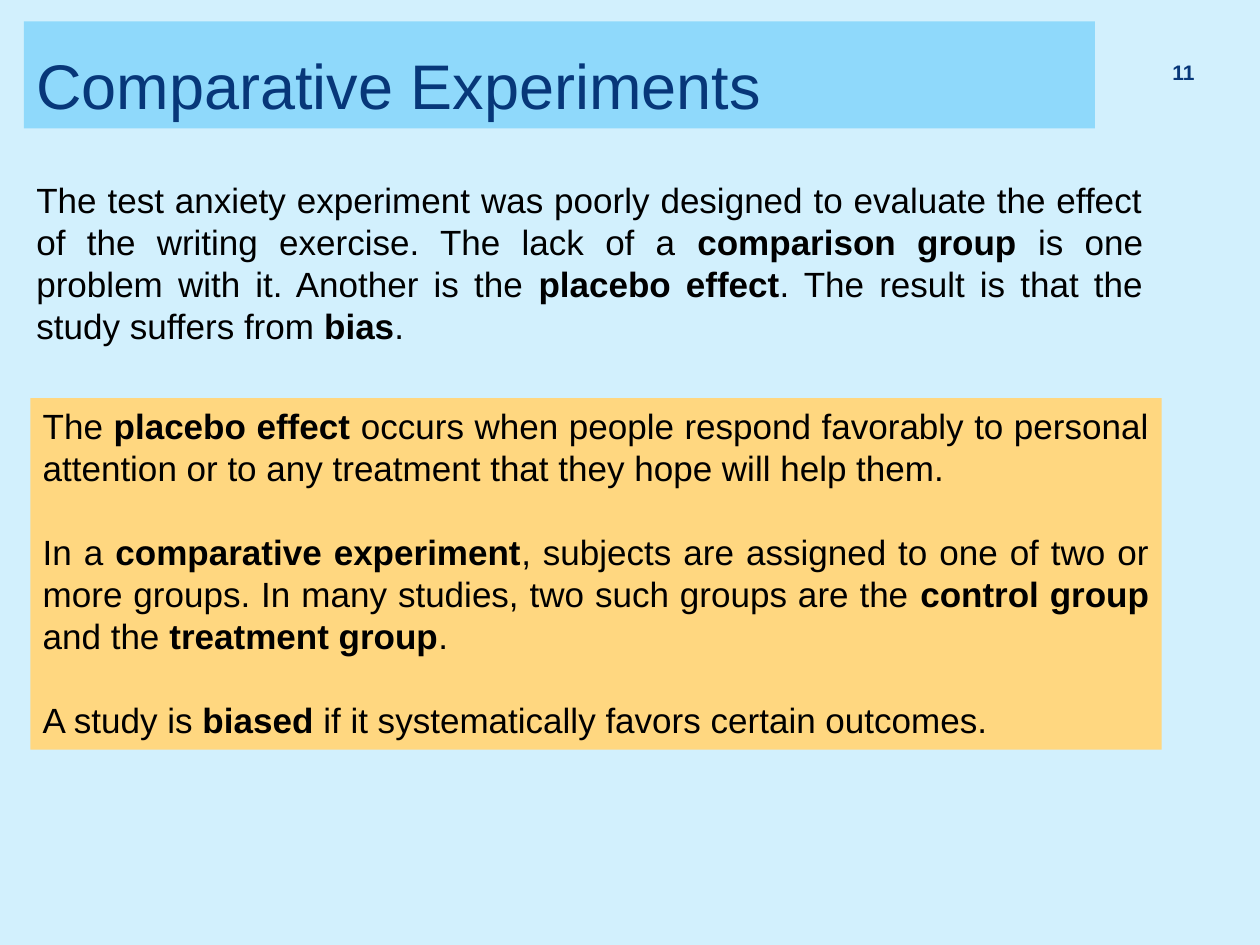
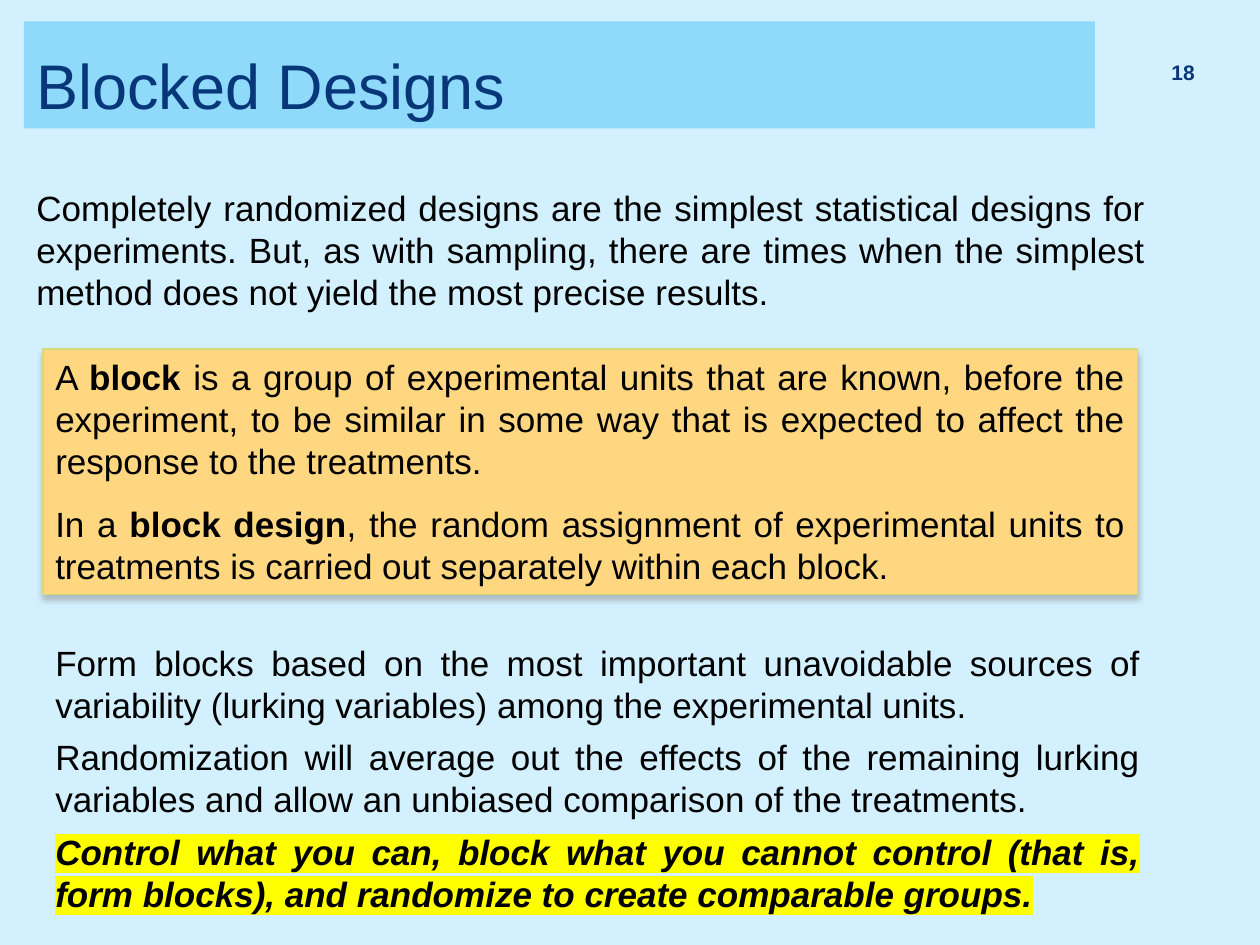
"""Build two lecture slides on comparative experiments and blocked designs."""
from dataclasses import dataclass
from typing import NamedTuple

from lxml import etree
from pptx import Presentation
from pptx import util as u
from pptx.dml.color import RGBColor
from pptx.enum import shapes, text
from pptx.oxml import ns


@dataclass(frozen=True)
class Theme:
    font: str = "Arial"
    background: str = "D2F0FD"
    band: str = "8FD9FB"
    heading: str = "073779"
    body: str = "000000"
    definition: str = "FFD780"
    definition_edge: str = "D2DA7A"
    shadow: str = "808080"
    marker: str = "FFFF00"
    title_size: int = 36
    body_size: int = 20
    number_size: int = 12
    edge_width: float = 0.79


THEME = Theme()


class Box(NamedTuple):
    left: float
    top: float
    width: float
    height: float


class Span(NamedTuple):
    words: str
    bold: bool = False
    italic: bool = False
    marked: bool = False


@dataclass(frozen=True)
class Passage:
    box: Box
    paragraphs: list[list[Span]]
    definition: bool = False
    raised: bool = False
    before: float = 0
    after: float = 0


@dataclass(frozen=True)
class Lesson:
    title: str
    number: str
    passages: list[Passage]


TITLE_BOX = Box(0.19, 0.17, 8.5, 0.85)
NUMBER_BOX = Box(9.03, 0.39, 0.55, 0.4)


def key(words: str) -> Span:
    return Span(words, bold=True)


LESSONS = [
    Lesson("Comparative Experiments", "11", [
        Passage(Box(0.19, 1.37, 8.98, 1.45), [[
            Span("The test anxiety experiment was poorly designed to evaluate the effect "
                 "of the writing exercise. The lack of a "),
            key("comparison group "),
            Span("is one problem with it. Another is the "),
            key("placebo effect"),
            Span(". The result is that the study suffers from "),
            key("bias"),
            Span("."),
        ]]),
        Passage(Box(0.24, 3.16, 8.98, 2.79), [
            [
                Span("The "),
                key("placebo effect "),
                Span("occurs when people respond favorably to personal attention or to "
                     "any treatment that they hope will help them."),
            ],
            [
                Span("In a "),
                key("comparative experiment"),
                Span(", subjects are assigned to one of two or more groups. "
                     "In many studies, two such groups are the "),
                key("control group "),
                Span("and the "),
                key("treatment group"),
                Span("."),
            ],
            [
                Span("A study is "),
                key("biased "),
                Span("if it systematically favors certain outcomes."),
            ],
        ], definition=True, before=24),
    ]),
    Lesson("Blocked Designs", "18", [
        Passage(Box(0.19, 1.43, 9, 1.11), [[
            Span("Completely randomized designs are the simplest statistical designs for "
                 "experiments. But, as with sampling, there are times when the simplest "
                 "method does not yield the most precise results."),
        ]]),
        Passage(Box(0.34, 2.77, 8.69, 1.95), [
            [
                Span("A "),
                key("block "),
                Span("is a group of experimental units that are known, before the "
                     "experiment, to be similar in some way that is expected to affect "
                     "the response to the treatments."),
            ],
            [
                Span("In a "),
                key("block design"),
                Span(", the random assignment of experimental units to treatments is "
                     "carried out separately within each block."),
            ],
        ], definition=True, raised=True, after=12),
        Passage(Box(0.34, 5.04, 8.81, 2.29), [
            [Span("Form blocks based on the most important unavoidable sources of "
                  "variability (lurking variables) among the experimental units.")],
            [Span("Randomization will average out the effects of the remaining lurking "
                  "variables and allow an unbiased comparison of the treatments.")],
            [Span("Control what you can, block what you cannot control (that is, form "
                  "blocks), and randomize to create comparable groups.",
                  bold=True, italic=True, marked=True)],
        ], after=6),
    ]),
]


def rgb(value: str) -> RGBColor:
    return RGBColor.from_string(value)


def add_color(parent, value: str):
    return etree.SubElement(parent, ns.qn("a:srgbClr"), val=value)


def add_frame(slide, box: Box, fill: str | None = None):
    place = [u.Inches(length) for length in box]
    if fill is None:
        frame = slide.shapes.add_textbox(*place)
    else:
        frame = slide.shapes.add_shape(shapes.MSO_SHAPE.RECTANGLE, *place)
        frame.fill.solid()
        frame.fill.fore_color.rgb = rgb(fill)
        frame.line.fill.background()
        frame.shadow.inherit = False
    frame.text_frame.word_wrap = True
    return frame


def add_span(paragraph, span: Span, size: int, color: str) -> None:
    run = paragraph.add_run()
    run.text = span.words
    run.font.name = THEME.font
    run.font.size = u.Pt(size)
    run.font.bold = span.bold
    run.font.italic = span.italic
    run.font.color.rgb = rgb(color)
    if span.marked:
        fill = run.font._element.find(ns.qn("a:solidFill"))
        highlight = etree.Element(ns.qn("a:highlight"))
        add_color(highlight, THEME.marker)
        fill.addnext(highlight)


def raise_frame(frame) -> None:
    frame.line.color.rgb = rgb(THEME.definition_edge)
    frame.line.width = u.Pt(THEME.edge_width)
    effects = frame._element.spPr.find(ns.qn("a:effectLst"))
    shadow = etree.SubElement(
        effects, ns.qn("a:outerShdw"), blurRad=str(u.Pt(3)), dist=str(u.Pt(2.4)),
        dir="5400000", rotWithShape="0")
    etree.SubElement(add_color(shadow, THEME.shadow), ns.qn("a:alpha"), val="45000")


def draw_heading(slide, lesson: Lesson) -> None:
    title = add_frame(slide, TITLE_BOX, THEME.band).text_frame
    title.vertical_anchor = text.MSO_ANCHOR.BOTTOM
    title.paragraphs[0].alignment = text.PP_ALIGN.LEFT
    add_span(title.paragraphs[0], Span(lesson.title), THEME.title_size, THEME.heading)

    number = add_frame(slide, NUMBER_BOX).text_frame
    number.vertical_anchor = text.MSO_ANCHOR.MIDDLE
    number.paragraphs[0].alignment = text.PP_ALIGN.RIGHT
    number.paragraphs[0].line_spacing = 0.8
    add_span(number.paragraphs[0], key(lesson.number), THEME.number_size, THEME.heading)


def draw_passage(slide, passage: Passage) -> None:
    frame = add_frame(slide, passage.box, THEME.definition if passage.definition else None)
    if passage.raised:
        raise_frame(frame)
    body = frame.text_frame
    body.vertical_anchor = text.MSO_ANCHOR.TOP
    body.auto_size = text.MSO_AUTO_SIZE.SHAPE_TO_FIT_TEXT
    for index, spans in enumerate(passage.paragraphs):
        paragraph = body.add_paragraph() if index else body.paragraphs[0]
        paragraph.alignment = text.PP_ALIGN.JUSTIFY
        if index and passage.before:
            paragraph.space_before = u.Pt(passage.before)
        paragraph.space_after = u.Pt(passage.after)
        for span in spans:
            add_span(paragraph, span, THEME.body_size, THEME.body)


def main() -> None:
    deck = Presentation()
    deck.slide_width, deck.slide_height = u.Inches(10), u.Inches(7.5)
    backdrop = deck.slide_master.background.fill
    backdrop.solid()
    backdrop.fore_color.rgb = rgb(THEME.background)
    for lesson in LESSONS:
        slide = deck.slides.add_slide(deck.slide_layouts[6])
        draw_heading(slide, lesson)
        for passage in lesson.passages:
            draw_passage(slide, passage)
    deck.save("out.pptx")


if __name__ == "__main__":
    main()
